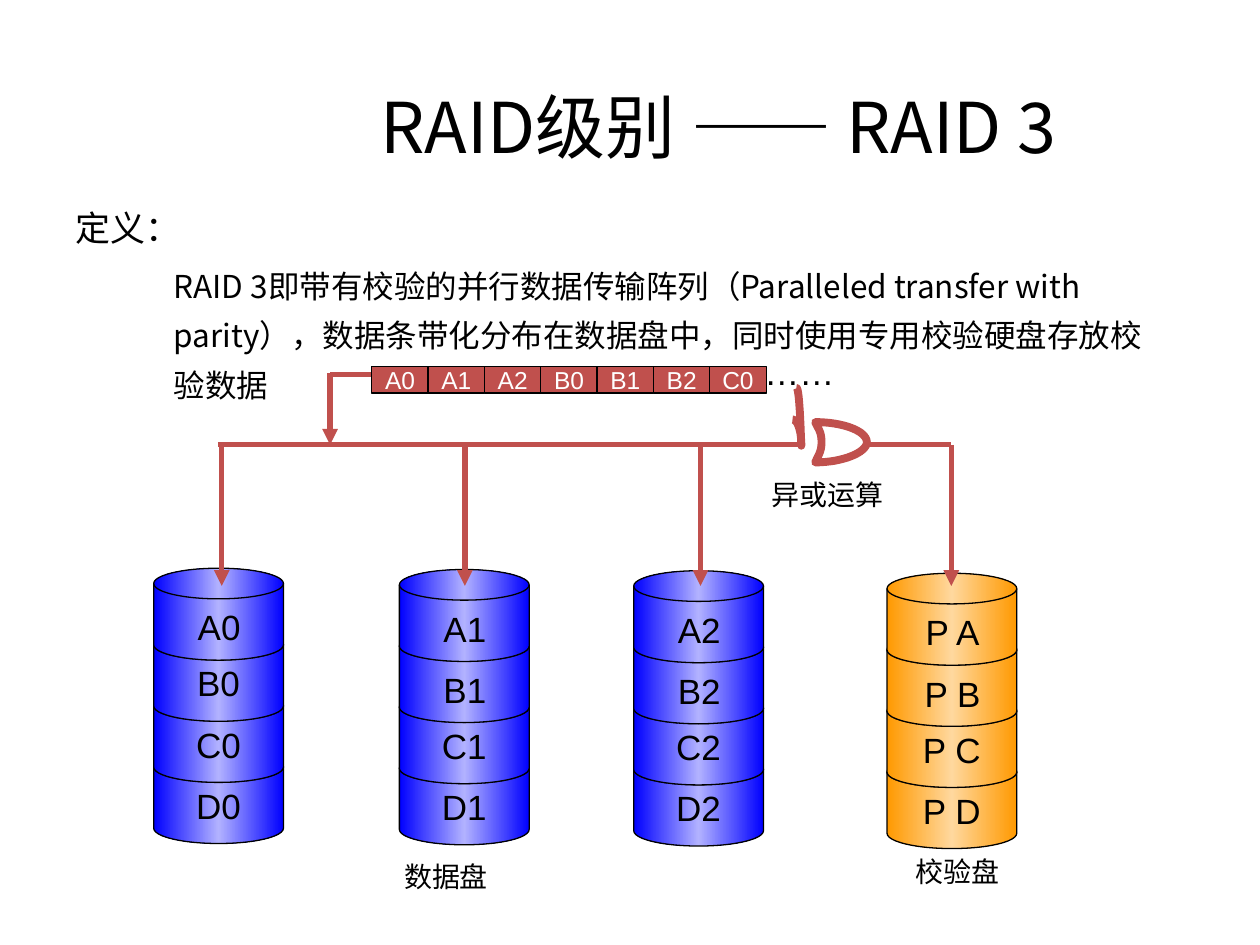
from dataclasses import dataclass
from copy import deepcopy

from lxml import etree
from pptx import Presentation
from pptx.dml.color import RGBColor
from pptx.enum.shapes import MSO_CONNECTOR, MSO_SHAPE
from pptx.enum.text import MSO_ANCHOR, PP_ALIGN
from pptx.oxml.ns import qn
from pptx.util import Inches, Pt

STRAIGHT = MSO_CONNECTOR.STRAIGHT
DISK, RECTANGLE = MSO_SHAPE.FLOWCHART_MAGNETIC_DISK, MSO_SHAPE.RECTANGLE
TOP, MIDDLE = MSO_ANCHOR.TOP, MSO_ANCHOR.MIDDLE
LEFT, CENTER = PP_ALIGN.LEFT, PP_ALIGN.CENTER
CJK, LATIN, DASH = "Noto Sans CJK SC", "Arial", "Calibri"
COLORS = {
    "text": "000000", "light": "FFFFFF", "bus": "C0504D",
    "data": "0000FF", "data_shine": "B2B2FF",
    "parity": "FF9900", "parity_shine": "FFD89E",
}
DISK_WIDTH, DISK_HEIGHT, ROW_STEP = 1.03, 0.73, 0.485
BLOCK_LEFT, BLOCK_STEP = 2.95, 0.447
BUS_Y, ARROW_END = 3.53, 4.65


@dataclass
class Stack:
    left: float
    top: float
    color: str
    labels: list[str]
    boxed_rows: int
    feed_x: float


@dataclass
class Wire:
    start: tuple[float, float]
    end: tuple[float, float]
    arrow: bool = False


@dataclass
class Caption:
    text: str
    box: tuple[float, float, float, float]
    size: int


STACKS = [
    Stack(1.22, 4.51, "data", ["A0", "B0", "C0", "D0"], 1, 1.76),
    Stack(3.17, 4.52, "data", ["A1", "B1", "C1", "D1"], 2, 3.69),
    Stack(5.03, 4.53, "data", ["A2", "B2", "C2", "D2"], 2, 5.56),
    Stack(7.04, 4.55, "parity", ["P A", "P B", "P C", "P D"], 2, 7.55),
]
WIRES = [
    Wire((1.73, BUS_Y), (6.37, BUS_Y)),
    *[Wire((stack.feed_x, BUS_Y), (stack.feed_x, ARROW_END), True) for stack in STACKS],
    Wire((2.62, 2.97), (2.99, 2.97)),
    Wire((2.62, 2.96), (2.62, BUS_Y), True),
    Wire((6.88, BUS_Y), (7.55, BUS_Y)),
]
GATE_BODY = [
    [(6.47, 3.67), (6.49, 3.62), (6.52, 3.59), (6.52, 3.51)],
    [(6.52, 3.51), (6.52, 3.42), (6.49, 3.4), (6.47, 3.35)],
    [(6.47, 3.35), (6.69, 3.35), (6.88, 3.42), (6.88, 3.51)],
    [(6.88, 3.51), (6.88, 3.59), (6.69, 3.67), (6.47, 3.67)],
]
GATE_INPUT = [
    [(6.29, 3.33), (6.33, 3.33), (6.36, 3.42), (6.36, 3.53)],
    [(6.36, 3.53), (6.36, 3.61), (6.35, 3.05), (6.32, 3.08)],
]
CAPTIONS = [
    Caption("异或运算", (5.93, 3.74, 1.28, 0.37), 16),
    Caption("数据盘", (3.09, 6.77, 0.9, 0.37), 16),
    Caption("校验盘", (7.15, 6.73, 0.9, 0.37), 16),
    Caption("……", (5.71, 2.73, 1.27, 0.44), 20),
]


def rgb(name: str) -> RGBColor:
    """Look up a named colour."""
    return RGBColor.from_string(COLORS[name])


def apply_format(target, values: dict) -> None:
    """Set every attribute named in values on target."""
    for name, value in values.items():
        setattr(target, name, value)


def add_run(paragraph, text: str, size: int, font: str = LATIN, color: str = "text") -> None:
    """Append a run with its Latin and East Asian fonts."""
    run = paragraph.add_run()
    run.text = text
    apply_format(run.font, {"size": Pt(size), "name": font})
    run.font.color.rgb = rgb(color)
    latin = run.font._element.find(qn("a:latin"))
    east_asian = etree.Element(qn("a:ea"), typeface=CJK)
    latin.addnext(east_asian)


def add_box(slide, box: tuple, anchor=TOP):
    """Add an empty text box and return its frame."""
    frame = slide.shapes.add_textbox(*map(Inches, box)).text_frame
    apply_format(frame, {"word_wrap": True, "vertical_anchor": anchor})
    return frame


def add_caption(slide, caption: Caption) -> None:
    """Add a centred one-line label."""
    paragraph = add_box(slide, caption.box).paragraphs[0]
    paragraph.alignment = CENTER
    add_run(paragraph, caption.text, caption.size)


def add_node(slide, kind, box: tuple, text: str, size: int, color: str = "text"):
    """Add a thinly outlined shape with an optional centred label."""
    node = slide.shapes.add_shape(kind, *map(Inches, box))
    node.shadow.inherit = False
    node.line.color.rgb = rgb("text")
    node.line.width = Pt(0.75)
    if text:
        apply_format(node.text_frame, {"word_wrap": False, "vertical_anchor": MIDDLE})
        paragraph = node.text_frame.paragraphs[0]
        paragraph.alignment = CENTER
        add_run(paragraph, text, size, color=color)
    return node


def fill_metallic(shape, color: str) -> None:
    """Fill a disk with a gradient that shines in the middle."""
    shape.fill.gradient()
    shape.fill.gradient_angle = 0
    stops = shape._element.spPr.find(".//" + qn("a:gsLst"))
    stops.insert(1, deepcopy(stops[0]))
    names = [color, f"{color}_shine", color]
    for stop, name, position in zip(shape.fill.gradient_stops, names, (0, 0.5, 1)):
        stop.color.rgb = rgb(name)
        stop.position = position


def add_stack(slide, stack: Stack) -> None:
    """Stack the disks from the bottom up and label the upper rows."""
    for row in reversed(range(len(stack.labels))):
        text = stack.labels[row] if row >= stack.boxed_rows else ""
        box = (stack.left, stack.top + row * ROW_STEP, DISK_WIDTH, DISK_HEIGHT)
        fill_metallic(add_node(slide, DISK, box, text, 20), stack.color)
    for row, text in enumerate(stack.labels[:stack.boxed_rows]):
        box = (stack.left + 0.14, stack.top + 0.25 + row * ROW_STEP, 0.76, 0.44)
        add_caption(slide, Caption(text, box, 20))


def add_wire(slide, wire: Wire) -> None:
    """Draw a bus line, with an arrowhead if asked."""
    line = slide.shapes.add_connector(STRAIGHT, *map(Inches, wire.start + wire.end))
    line.line.color.rgb = rgb("bus")
    line.line.width = Pt(3)
    if wire.arrow:
        etree.SubElement(line.line._get_or_add_ln(), qn("a:tailEnd"), type="triangle")
    etree.SubElement(line._element.spPr, qn("a:effectLst"))


def curve_points(curve: list, steps: int = 16) -> list:
    """Sample a cubic curve, start included, as lengths."""
    points = []
    for t in (step / steps for step in range(steps + 1)):
        weights = ((1 - t) ** 3, 3 * t * (1 - t) ** 2, 3 * t * t * (1 - t), t ** 3)
        points.append(tuple(Inches(sum(w * p[axis] for w, p in zip(weights, curve)))
                            for axis in (0, 1)))
    return points


def add_outline(slide, curves: list, closed: bool) -> None:
    """Draw joined curves as an unfilled gate outline."""
    start, *rest = [point for curve in curves for point in curve_points(curve)]
    builder = slide.shapes.build_freeform(*start)
    builder.add_line_segments(rest, close=closed)
    outline = builder.convert_to_shape()
    outline.shadow.inherit = False
    outline.fill.background()
    outline.line.color.rgb = rgb("bus")
    outline.line.width = Pt(4.5)


def add_heading(slide) -> None:
    """Add the title and the definition."""
    title = add_box(slide, (1.53, 0.68, 8.47, 0.63), MIDDLE).paragraphs[0]
    title.alignment = CENTER
    for text, font in (("RAID级别 ", CJK), ("—— ", DASH), ("RAID 3 ", CJK)):
        add_run(title, text, 40, font)
    frame = add_box(slide, (0.5, 1.42, 8.83, 1.48))
    term, meaning = frame.paragraphs[0], frame.add_paragraph()
    apply_format(term, {"alignment": LEFT, "line_spacing": 1.5})
    apply_format(meaning, {"level": 1, "line_spacing": 1.3, "space_before": Pt(4.5)})
    meaning._p.get_or_add_pPr().set("marL", str(Inches(0.78)))
    add_run(term, "定义：", 20, CJK)
    add_run(meaning, "RAID 3即带有校验的并行数据传输阵列（Paralleled transfer with parity），"
            "数据条带化分布在数据盘中，同时使用专用校验硬盘存放校验数据", 18, CJK)


def main() -> None:
    """Build the RAID 3 slide."""
    deck = Presentation()
    apply_format(deck, {"slide_width": Inches(10), "slide_height": Inches(7.5)})
    slide = deck.slides.add_slide(deck.slide_layouts[6])
    add_heading(slide)
    for stack in STACKS:
        add_stack(slide, stack)
    for wire in WIRES:
        add_wire(slide, wire)
    add_outline(slide, GATE_BODY, True)
    add_outline(slide, GATE_INPUT, False)
    for column, text in enumerate(["A0", "A1", "A2", "B0", "B1", "B2", "C0"]):
        box = (BLOCK_LEFT + column * BLOCK_STEP, 2.91, 0.45, 0.21)
        block = add_node(slide, RECTANGLE, box, text, 14, "light")
        block.fill.solid()
        block.fill.fore_color.rgb = rgb("bus")
    for caption in CAPTIONS:
        add_caption(slide, caption)
    deck.save("out.pptx")


if __name__ == "__main__":
    main()
